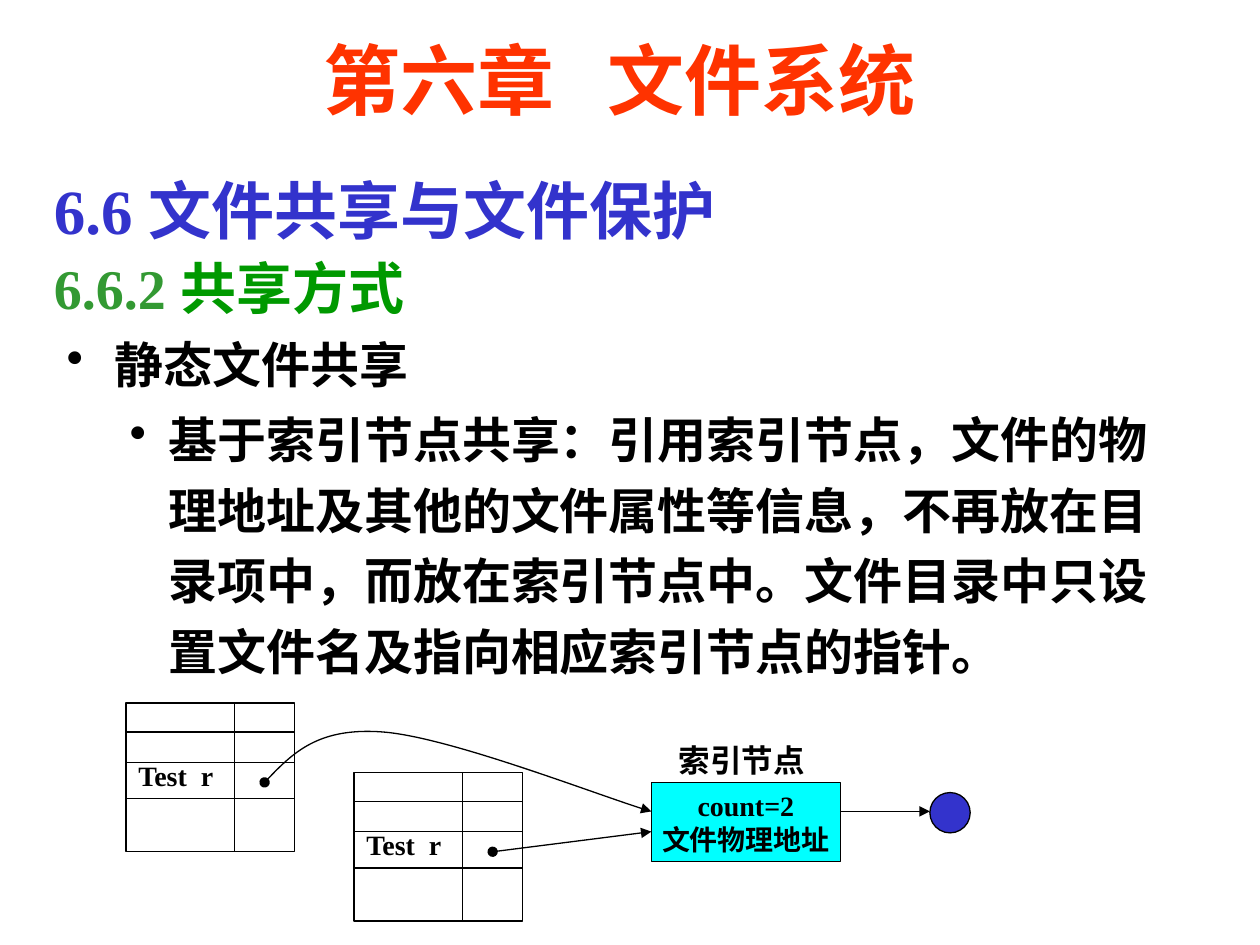
from dataclasses import dataclass

from lxml import etree
from pptx import Presentation
from pptx.dml.color import RGBColor
from pptx.enum.shapes import MSO_CONNECTOR, MSO_SHAPE
from pptx.enum.text import MSO_ANCHOR, MSO_AUTO_SIZE, PP_ALIGN
from pptx.oxml.ns import qn
from pptx.util import Pt

PX = 9144  # EMU per px, 100 px to the inch
STRAIGHT = MSO_CONNECTOR.STRAIGHT
RECT, OVAL = MSO_SHAPE.RECTANGLE, MSO_SHAPE.OVAL
TOP, MIDDLE = MSO_ANCHOR.TOP, MSO_ANCHOR.MIDDLE
LEFT, CENTER = PP_ALIGN.LEFT, PP_ALIGN.CENTER


@dataclass(frozen=True)
class Theme:
    font: str = "Times New Roman"
    ink: str = "000000"
    title: str = "FF3300"
    section: str = "3333CC"
    number: str = "339933"
    topic: str = "009900"
    node: str = "00FFFF"
    title_pt: int = 44
    section_pt: int = 36
    topic_pt: int = 32
    body_pt: int = 28
    label_pt: int = 18
    cell_pt: int = 16
    line_pt: float = 0.75


def emu(*lengths):
    return [round(v * PX) for v in lengths]


class SlideBuilder:
    def __init__(self, slide, theme):
        self.slide, self.theme = slide, theme

    def run(self, p, text, size, color=None):
        r = p.add_run()
        r.text = text
        fmt = {"name": self.theme.font, "size": Pt(size), "bold": True}
        for name, value in fmt.items():
            setattr(r.font, name, value)
        r.font.color.rgb = RGBColor.from_string(color or self.theme.ink)

    def frame(self, sp, **fmt):
        tf = sp.text_frame
        fmt = {"word_wrap": True, "auto_size": MSO_AUTO_SIZE.NONE,
               "vertical_anchor": TOP, **fmt}
        for name, value in fmt.items():
            setattr(tf, name, value)
        return tf

    def title(self, box, text):
        sp = self.slide.shapes.title
        sp.left, sp.top, sp.width, sp.height = emu(*box)
        p = self.frame(sp, vertical_anchor=MIDDLE).paragraphs[0]
        p.alignment = CENTER
        self.run(p, text, self.theme.title_pt, self.theme.title)

    def textbox(self, box):
        return self.frame(self.slide.shapes.add_textbox(*emu(*box)))

    def bullets(self, box, items):
        """Items are (text, level, left margin, hanging indent)."""
        tf = self.textbox(box)
        for i, (text, level, margin, hang) in enumerate(items):
            p = tf.add_paragraph() if i else tf.paragraphs[0]
            p.level, p.line_spacing, p.space_before = level, 1.2, Pt(2.8)
            self.run(p, text, self.theme.body_pt)
            pPr = p._p.get_or_add_pPr()
            left, indent = emu(margin, -hang)
            pPr.set("marL", str(left))
            pPr.set("indent", str(indent))
            etree.SubElement(pPr, qn("a:buChar"), char="•")

    def outline(self, sp):
        sp.line.color.rgb = RGBColor.from_string(self.theme.ink)
        sp.line.width = Pt(self.theme.line_pt)

    def shape(self, kind, box, fill=None):
        sp = self.slide.shapes.add_shape(kind, *emu(*box))
        sp.shadow.inherit = False
        if fill:
            sp.fill.solid()
            sp.fill.fore_color.rgb = RGBColor.from_string(fill)
        else:
            sp.fill.background()
        self.outline(sp)
        return sp

    def ends(self, sp, head, tail):
        ln = sp.line._get_or_add_ln()
        for tag, kind in (("a:headEnd", head), ("a:tailEnd", tail)):
            if kind:
                etree.SubElement(ln, qn(tag), type=kind)

    def line(self, x1, y1, x2, y2, head=None, tail=None):
        cx = self.slide.shapes.add_connector(STRAIGHT, *emu(x1, y1, x2, y2))
        self.outline(cx)
        self.ends(cx, head, tail)
        etree.SubElement(cx._element.spPr, qn("a:effectLst"))

    def curve(self, start, controls, head=None, tail=None):
        """Draw cubic segments, three control points to each."""
        fb = self.slide.shapes.build_freeform(*start, scale=PX)
        fb.add_line_segments(controls, close=False)
        sp = fb.convert_to_shape()
        sp.shadow.inherit = False
        sp.fill.background()
        self.outline(sp)
        self.ends(sp, head, tail)
        route = sp._element.spPr.find(".//" + qn("a:path"))
        steps = route.findall(qn("a:lnTo"))
        for i in range(0, len(steps), 3):
            bezier = etree.SubElement(route, qn("a:cubicBezTo"))
            for step in steps[i:i + 3]:
                bezier.append(step[0])
                route.remove(step)

    def directory(self, x, y, entry):
        """Draw a file directory with one named entry and a pointer column."""
        w, h = 134, 118
        sp = self.shape(RECT, (x, y, w, h))
        tf = self.frame(sp, margin_top=44 * PX)
        tf.paragraphs[0].alignment = LEFT
        self.run(tf.paragraphs[0], entry, self.theme.cell_pt)
        for dy in (23, 47, 76):
            self.line(x, y + dy, x + w, y + dy)
        self.line(x + 86, y, x + 86, y + h)

    def index_node(self, box, lines):
        sp = self.shape(RECT, box, self.theme.node)
        tf = self.frame(sp, vertical_anchor=MIDDLE, word_wrap=False)
        for i, text in enumerate(lines):
            p = tf.add_paragraph() if i else tf.paragraphs[0]
            p.alignment = CENTER
            self.run(p, text, self.theme.cell_pt)


def main():
    prs = Presentation()
    prs.slide_width, prs.slide_height = emu(1000, 750)
    th = Theme()
    s = SlideBuilder(prs.slides.add_slide(prs.slide_layouts[5]), th)

    s.title((117, 25, 750, 75), "第六章   文件系统")
    s.bullets((43, 251, 914, 299), [
        ("静态文件共享", 0, 38, 38),
        ("基于索引节点共享：引用索引节点，文件的物理地址及其他的文件属性等信息，"
         "不再放在目录项中，而放在索引节点中。文件目录中只设置文件名及"
         "指向相应索引节点的指针。", 1, 81, 31),
    ])

    p = s.textbox((33, 125, 925, 135)).paragraphs[0]
    p.line_spacing = 1.1
    s.run(p, "6.6 文件共享与文件保护", th.section_pt, th.section)
    p.add_line_break()
    s.run(p, "6.6.2 ", th.topic_pt, th.number)
    s.run(p, "共享方式", th.topic_pt, th.topic)

    for x, y in ((100, 558), (281, 613)):
        s.directory(x, y, "Test  r")
    s.index_node((517, 621, 150, 63), ("count=2", "文件物理地址"))
    label = s.textbox((529, 583, 142, 40)).paragraphs[0]
    s.run(label, "索引节点", th.label_pt)

    s.curve((210, 621), [(231, 599), (253, 577), (304, 581),
                         (356, 585), (482, 634), (517, 644)],
            head="oval", tail="triangle")
    s.line(391, 676, 517, 660, head="oval", tail="triangle")
    s.shape(OVAL, (738, 629, 32, 32), th.section)
    s.line(667, 644, 738, 644, tail="triangle")

    prs.save("out.pptx")


if __name__ == "__main__":
    main()
